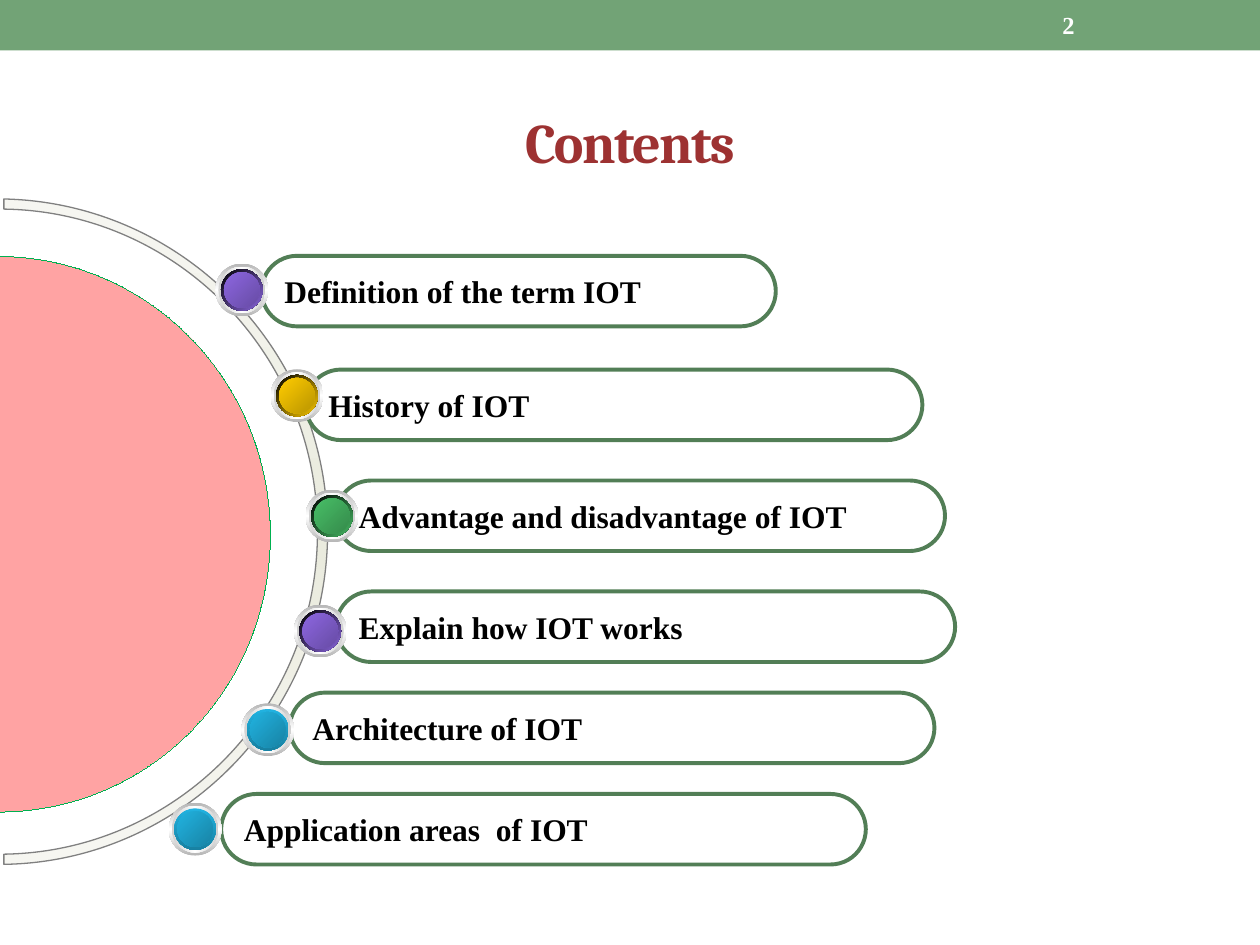
from copy import deepcopy

from lxml import etree
from pptx import Presentation
from pptx.dml.color import RGBColor
from pptx.enum.shapes import MSO_SHAPE
from pptx.enum.text import MSO_ANCHOR, PP_ALIGN
from pptx.oxml.ns import qn
from pptx.util import Pt

RECTANGLE = MSO_SHAPE.RECTANGLE
PILL = MSO_SHAPE.ROUNDED_RECTANGLE
OVAL = MSO_SHAPE.OVAL
MIDDLE = MSO_ANCHOR.MIDDLE
LEFT = PP_ALIGN.LEFT
CENTER = PP_ALIGN.CENTER

BLACK = RGBColor(0x00, 0x00, 0x00)
WHITE = RGBColor(0xFF, 0xFF, 0xFF)
RED = RGBColor(0xFF, 0x00, 0x00)
MAROON = RGBColor(0x9D, 0x32, 0x32)
SAGE = RGBColor(0x72, 0xA3, 0x76)
PILL_GREEN = RGBColor(0x52, 0x7E, 0x56)
EDGE_GREEN = RGBColor(0x00, 0xB0, 0x50)
GRAY = RGBColor(0x80, 0x80, 0x80)
IVORY = RGBColor(0xF6, 0xF6, 0xF1)
SAND = RGBColor(0xEA, 0xEB, 0xDE)
SILVER = RGBColor(0xB6, 0xB6, 0xB6)
PALE_SILVER = RGBColor(0xD1, 0xD1, 0xD1)
PURPLE = RGBColor(0x8D, 0x67, 0xE1)
DARK_PURPLE = RGBColor(0x67, 0x4B, 0xA4)
GOLD = RGBColor(0xFF, 0xCC, 0x00)
DARK_GOLD = RGBColor(0xBA, 0x95, 0x00)
GREEN = RGBColor(0x48, 0xBE, 0x67)
DARK_GREEN = RGBColor(0x35, 0x8B, 0x4B)
TEAL = RGBColor(0x21, 0xB3, 0xE1)
TEAL_RIM = RGBColor(0x18, 0x80, 0xA1)
DARK_TEAL = RGBColor(0x18, 0x83, 0xA4)

PURPLE_BALL = ((BLACK, PURPLE), 45, (PURPLE, DARK_PURPLE))
GOLD_BALL = ((BLACK, GOLD), 45, (GOLD, DARK_GOLD))
GREEN_BALL = ((BLACK, GREEN), 45, (GREEN, DARK_GREEN))
TEAL_BALL = ((TEAL, TEAL_RIM), 90, (TEAL, DARK_TEAL))

TOPICS = [
    ("Definition of the term IOT", (149.5, 146.2, 293.8), (123.1, 150.6), PURPLE_BALL),
    ("History of IOT", (174.7, 211.2, 352.4), (154.6, 211), GOLD_BALL),
    ("Advantage and disadvantage of IOT", (192, 274.6, 348), (174.6, 279.8), GREEN_BALL),
    ("Explain how IOT works", (192, 338, 353.8), (167.9, 345.5), PURPLE_BALL),
    ("Architecture of IOT", (165.6, 395.8, 368.4), (137.9, 401.9), TEAL_BALL),
    ("Application areas  of IOT", (126.4, 453.7, 368.4), (96.4, 458.7), TEAL_BALL),
]
PILL_HEIGHT = 40.3
BALL_SIZE = 30.2

ARC_PATH = [
    ("moveTo", [(5.8, 185)]),
    ("cubicBezTo", [(7.2, 85.7), (89.3, 5.8), (190.1, 5.8)]),
    ("cubicBezTo", [(290.9, 5.8), (373, 85.7), (374.4, 185)]),
    ("lnTo", [(380.2, 185)]),
    ("cubicBezTo", [(378.7, 82.8), (293.8, 0), (190.1, 0)]),
    ("cubicBezTo", [(86.4, 0), (2.2, 82.8), (0, 185)]),
    ("close", []),
]
DISC_PATH = [
    ("moveTo", [(0, 156)]),
    ("cubicBezTo", [(0, 69.1), (71.3, 0), (159.1, 0)]),
    ("cubicBezTo", [(247, 0), (317.5, 69.1), (317.5, 156)]),
    ("close", []),
]


class ContentsSlide:
    body_font = "Times New Roman"
    title_font = "Cambria"

    def __init__(self, slide):
        self.shapes = slide.shapes

    def style_text(self, frame, text, font, size, color, align=LEFT):
        frame.vertical_anchor = MIDDLE
        paragraph = frame.paragraphs[0]
        paragraph.text = text
        paragraph.alignment = align
        paragraph.font.name = font
        paragraph.font.size = Pt(size)
        paragraph.font.bold = True
        paragraph.font.color.rgb = color
        return paragraph

    def place(self, shape, left, top, width, height):
        shape.left, shape.top = Pt(left), Pt(top)
        shape.width, shape.height = Pt(width), Pt(height)

    def gradient(self, shape, colors, angle):
        fill = shape.fill
        fill.gradient()
        fill.gradient_angle = -angle % 360
        stop_list = shape._element.spPr.find(".//" + qn("a:gsLst"))
        while len(stop_list) < len(colors):
            stop_list.append(deepcopy(stop_list[0]))
        for index, (stop, color) in enumerate(zip(fill.gradient_stops, colors)):
            stop.color.rgb = color
            stop.position = index / (len(colors) - 1)

    def title(self, text, left, top, width, height):
        title = self.shapes.title
        self.place(title, left, top, width, height)
        paragraph = self.style_text(title.text_frame, text, self.title_font, 32,
                                    MAROON, CENTER)
        paragraph.runs[0].font._element.set("spc", "-100")

    def shape(self, kind, left, top, width, height, parent=None):
        shapes = parent or self.shapes
        shape = shapes.add_shape(kind, Pt(left), Pt(top), Pt(width), Pt(height))
        shape.shadow.inherit = False
        shape.line.fill.background()
        return shape

    def band(self, left, top, width, height, color):
        band = self.shape(RECTANGLE, left, top, width, height)
        band.fill.solid()
        band.fill.fore_color.rgb = color

    def page_number(self, text, left, top, width, height):
        box = self.shapes.add_textbox(Pt(left), Pt(top), Pt(width), Pt(height))
        box.text_frame.word_wrap = True
        self.style_text(box.text_frame, text, self.body_font, 14, WHITE)

    def arch(self, frame, commands, line_color, line_width):
        builder = self.shapes.build_freeform()
        builder.add_line_segments([(Pt(1), Pt(1))])
        arch = builder.convert_to_shape()
        self.place(arch, *frame)
        arch.rotation = 90
        arch.shadow.inherit = False
        arch.line.color.rgb = line_color
        properties = arch._element.spPr
        properties.find(qn("a:ln")).set("w", str(Pt(line_width)))
        outline = properties.find(".//" + qn("a:path"))
        outline.set("w", str(arch.width))
        outline.set("h", str(arch.height))
        for segment in list(outline):
            outline.remove(segment)
        for command, points in commands:
            segment = etree.SubElement(outline, qn("a:" + command))
            for x, y in points:
                etree.SubElement(segment, qn("a:pt"), x=str(Pt(x)), y=str(Pt(y)))
        return arch

    def arc(self, *frame):
        arc = self.arch(frame, ARC_PATH, GRAY, 0.75)
        self.gradient(arc, (IVORY, SAND, IVORY), 0)

    def half_disc(self, *frame, color, opacity):
        disc = self.arch(frame, DISC_PATH, EDGE_GREEN, 0)
        disc.fill.solid()
        disc.fill.fore_color.rgb = color
        tint = disc._element.spPr.find(qn("a:solidFill"))[0]
        etree.SubElement(tint, qn("a:alpha"), val=str(opacity * 1000))

    def pill(self, text, left, top, width):
        pill = self.shape(PILL, left, top, width, PILL_HEIGHT)
        pill.adjustments[0] = 0.5
        pill.fill.background()
        pill.line.color.rgb = PILL_GREEN
        pill.line.width = Pt(2.25)
        pill.text_frame.word_wrap = False
        self.style_text(pill.text_frame, text, self.body_font, 18, BLACK)

    def ball(self, left, top, rim, rim_angle, core):
        ball = self.shapes.add_group_shape()
        layers = [
            (BALL_SIZE, (SILVER, WHITE, SILVER), 90),
            (26.8, (PALE_SILVER, WHITE, PALE_SILVER), 0),
            (23.8, rim, rim_angle),
            (20.4, core, 45),
        ]
        for size, colors, angle in layers:
            inset = (BALL_SIZE - size) / 2
            layer = self.shape(OVAL, left + inset, top + inset, size, size, ball.shapes)
            self.gradient(layer, colors, angle)


def main():
    deck = Presentation()
    deck.slide_width, deck.slide_height = Pt(720), Pt(540)
    contents = ContentsSlide(deck.slides.add_slide(deck.slide_layouts[5]))

    contents.band(0, 0, 720, 28.8, SAGE)
    contents.title("Contents", 36, 42, 648, 77.8)
    contents.arc(-190.8, 115.9, 380.2, 375.8)
    contents.half_disc(-159.1, 150.5, 317.5, 309.6, color=RED, opacity=36)
    for text, pill_place, ball_place, ball_colors in TOPICS:
        contents.pill(text, *pill_place)
        contents.ball(*ball_place, *ball_colors)
    contents.page_number("2", 600, 1.4, 84, 26)

    deck.save("out.pptx")


if __name__ == "__main__":
    main()
